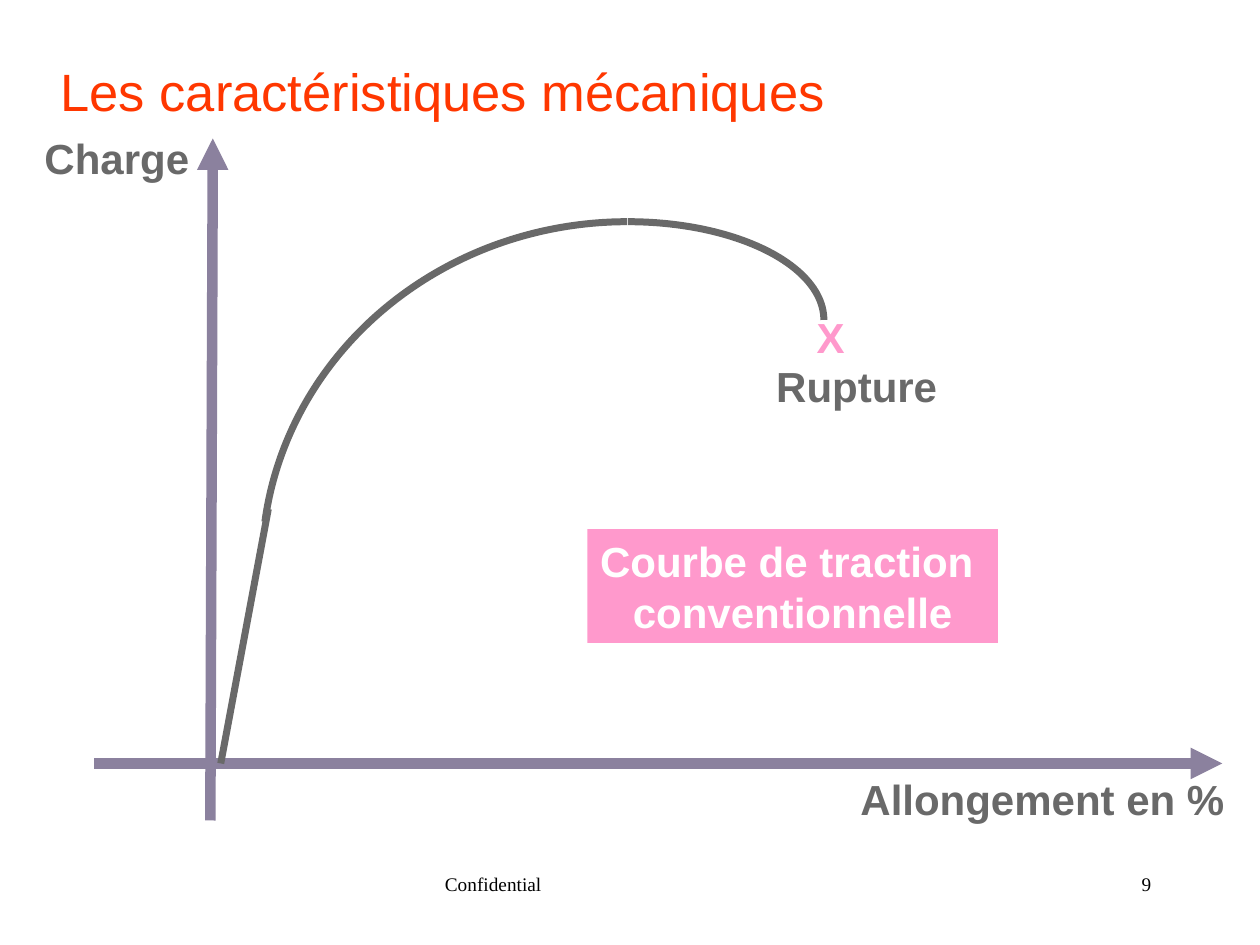
from dataclasses import dataclass

from pptx import Presentation
from pptx.dml.color import RGBColor as Rgb
from pptx.enum.shapes import MSO_CONNECTOR as Link, MSO_SHAPE as Preset
from pptx.enum.text import MSO_ANCHOR as Anchor, PP_ALIGN as Align
from pptx.oxml.ns import qn
from pptx.util import Cm, Pt
from lxml.etree import SubElement


@dataclass(frozen=True)
class Theme:
    """Colours, fonts and sizes of the slide."""
    title: Rgb = Rgb.from_string("FF3700")
    axis: Rgb = Rgb.from_string("8B819E")
    curve: Rgb = Rgb.from_string("696969")
    accent: Rgb = Rgb.from_string("FF99CC")
    white: Rgb = Rgb.from_string("FFFFFF")
    black: Rgb = Rgb.from_string("000000")
    sans: str = "Arial"
    serif: str = "Times New Roman"
    title_size: int = 30
    label_size: int = 24
    footer_size: int = 11
    axis_width: int = 6
    curve_width: int = 4


THEME = Theme()
LABEL = dict(name=THEME.sans, size=Pt(THEME.label_size), bold=True)
TITLE = dict(name=THEME.sans, size=Pt(THEME.title_size), bold=False)
FOOTER = dict(name=THEME.serif, size=Pt(THEME.footer_size), bold=False)


def write(shape, lines, style, color, align=Align.LEFT, **frame_format):
    """Fill a shape with one formatted paragraph per line."""
    frame = shape.text_frame
    for key, value in frame_format.items():
        setattr(frame, key, value)
    frame.text = "\n".join(lines)
    for paragraph in frame.paragraphs:
        paragraph.alignment = align
        for key, value in style.items():
            setattr(paragraph.font, key, value)
        paragraph.font.color.rgb = color


def add_text(slide, box, text, style, color, align=Align.LEFT, margin=0.0,
             wrap=True, anchor=Anchor.TOP):
    """Place a text box with equal inner margins."""
    area = slide.shapes.add_textbox(*map(Cm, box))
    sides = ("margin_left", "margin_top", "margin_right", "margin_bottom")
    margins = dict.fromkeys(sides, Cm(margin))
    write(area, [text], style, color, align, word_wrap=wrap,
          vertical_anchor=anchor, **margins)


def add_label(slide, box, text, color):
    """Place a one-line bold label on the diagram."""
    add_text(slide, box, text, LABEL, color, Align.CENTER, 0.13, wrap=False)


def add_line(slide, start, end, color, width, arrow=False):
    """Draw a straight line, with an arrowhead at its end if asked."""
    line = slide.shapes.add_connector(Link.STRAIGHT, *map(Cm, start + end))
    line.line.color.rgb = color
    line.line.width = Pt(width)
    if arrow:
        SubElement(line.line._get_or_add_ln(), qn("a:tailEnd"), type="triangle")
    SubElement(line._element.spPr, qn("a:effectLst"))


def add_arc(slide, box, start, end):
    """Draw part of an ellipse between two angles in degrees."""
    arc = slide.shapes.add_shape(Preset.ARC, *map(Cm, box))
    arc.shadow.inherit = False
    arc.fill.background()
    arc.line.color.rgb = THEME.curve
    arc.line.width = Pt(THEME.curve_width)
    for index, angle in enumerate((start, end)):
        arc.adjustments[index] = angle * 0.6


def add_caption(slide, box):
    """Place the filled panel that names the curve."""
    panel = slide.shapes.add_shape(Preset.RECTANGLE, *map(Cm, box))
    panel.shadow.inherit = False
    panel.fill.solid()
    panel.fill.fore_color.rgb = THEME.accent
    panel.line.fill.background()
    write(panel, ["Courbe de traction ", "conventionnelle"], LABEL,
          THEME.white, Align.CENTER, word_wrap=False)


def add_diagram(slide, left, top, width, height):
    """Draw the tensile curve with its axes and labels."""
    def at(x, y, *size):
        return (left + x, top + y, *size)

    base = height - 1.15
    peak = 1.93
    add_caption(slide, at(11.2, 8.13, 8.28, 2.29))
    axes = ((at(3.6, height), at(3.65, 0.25)),
            (at(1.26, base), at(width - 0.3, base)))
    for start, end in axes:
        add_line(slide, start, end, THEME.axis, THEME.axis_width, arrow=True)
    add_line(slide, at(3.81, base), at(4.77, 7.72), THEME.curve,
             THEME.curve_width)
    add_arc(slide, at(4.64, peak, 14.73, 13.89), 187, 270)
    add_arc(slide, at(8.07, peak, 7.9, 3.96), 270, 0)
    labels = (("Allongement en %", 16.45, 12.93, 7.85, THEME.curve),
              ("Charge", 0, 0, 3.43, THEME.curve),
              ("X", 15.57, 3.61, 1.07, THEME.accent),
              ("Rupture", 14.75, 4.6, 3.76, THEME.curve))
    for text, x, y, label_width, color in labels:
        add_label(slide, at(x, y, label_width, 1.27), text, color)


def add_title(slide, *box):
    """Place the slide title at the bottom of its box."""
    add_text(slide, box, "Les caractéristiques mécaniques", TITLE,
             THEME.title, anchor=Anchor.BOTTOM)


def add_footer(slide, left, top, width, height):
    """Place the notice on the left and the page number on the right."""
    number_width = 5.28
    add_text(slide, (left, top, 8.05, height), "Confidential", FOOTER,
             THEME.black)
    add_text(slide, (left + width - number_width, top, number_width, height),
             "9", FOOTER, THEME.black, Align.RIGHT)


def main():
    """Build the slide and save it."""
    deck = Presentation()
    deck.slide_width, deck.slide_height = Cm(25.4), Cm(19.05)
    slide = deck.slides.add_slide(deck.slide_layouts[6])
    add_diagram(slide, 0.64, 2.54, 24.3, 14)
    add_title(slide, 1.22, 0.25, 22.89, 2.21)
    add_footer(slide, 8.97, 17.58, 14.24, 0.76)
    deck.save("out.pptx")


if __name__ == "__main__":
    main()
